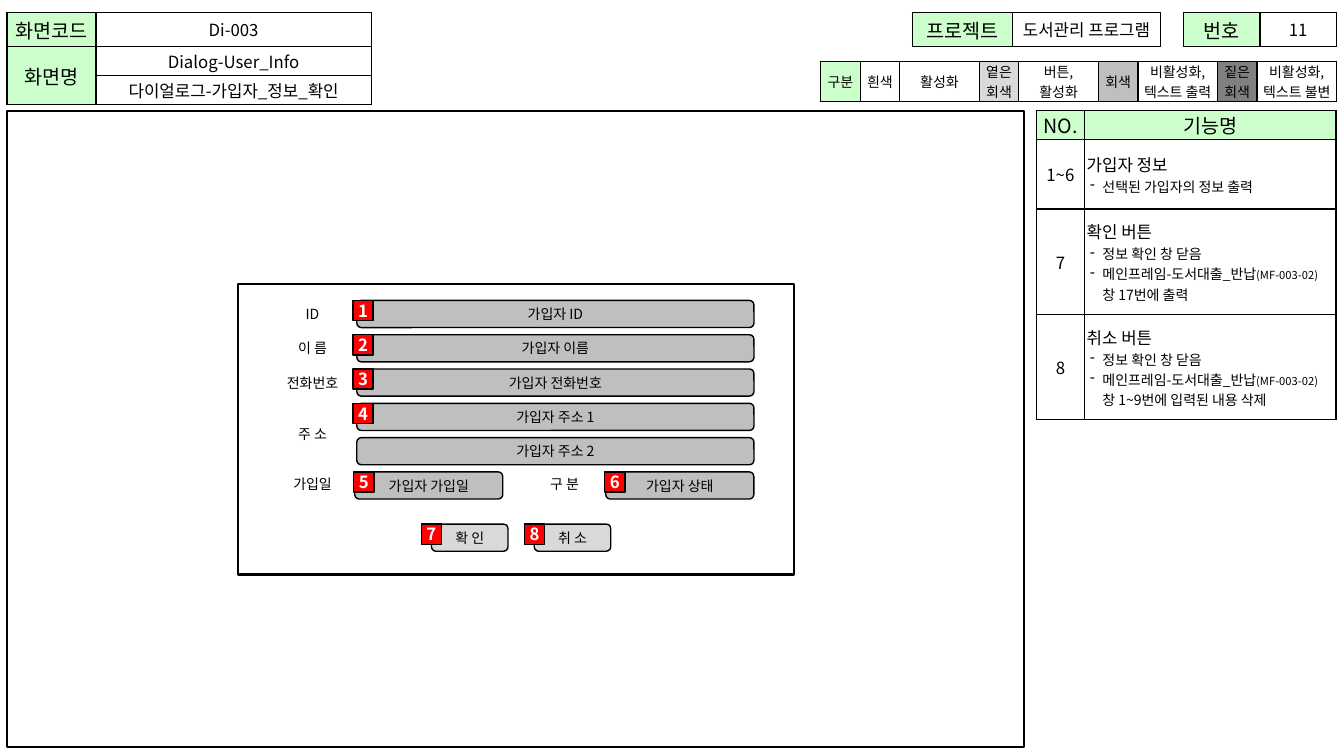
from dataclasses import dataclass

from lxml import etree
from pptx import Presentation
from pptx.dml.color import RGBColor
from pptx.enum.shapes import MSO_SHAPE
from pptx.enum.text import MSO_ANCHOR, PP_ALIGN
from pptx.oxml.ns import qn
from pptx.util import Pt

RECT, ROUND = MSO_SHAPE.RECTANGLE, MSO_SHAPE.ROUNDED_RECTANGLE
CENTER, LEFT = PP_ALIGN.CENTER, PP_ALIGN.LEFT
MIDDLE = MSO_ANCHOR.MIDDLE
FONT = "Noto Sans CJK KR"
BLACK, WHITE, RED, GREEN = "000000", "FFFFFF", "FF0000", "CCFFCC"
LIGHT, GRAY, DARK = "D9D9D9", "BFBFBF", "808080"
FIELD_H, BADGE = 19.4, 14.4
ROW_TOP, ROW_STEP = 214.6, 24.5
FIELD_X, FIELD_W, HALF_W = 254.9, 283.7, 105.8
LABEL_X, LABEL_W = 198.7, 49
BUTTON_Y, BUTTON_W = 374.4, 54.7


@dataclass
class Line:
    text: str
    size: float = 10
    align: PP_ALIGN = CENTER
    left: float = 0
    bullet: bool = False
    suffix: str = ""


@dataclass
class Cell:
    lines: list[Line]
    fill: str = WHITE
    pad: float = 1.5


@dataclass
class Box:
    text: str
    x: float
    y: float
    w: float
    h: float = FIELD_H
    fill: str = GRAY


def color(value: str) -> RGBColor:
    return RGBColor.from_string(value)


def set_all(target, values: dict) -> None:
    for name, value in values.items():
        setattr(target, name, value)


def add_run(p, text: str, size: float, ink: str, bold: bool) -> None:
    r = p.add_run()
    r.text = text
    set_all(r.font, {"name": FONT, "size": Pt(size), "bold": bold})
    r.font.color.rgb = color(ink)
    ea = etree.SubElement(r.font._element, qn("a:ea"))
    ea.set("typeface", FONT)


def write(tf, lines: list[Line], ink: str = BLACK, bold: bool = False) -> None:
    for i, line in enumerate(lines):
        p = tf.add_paragraph() if i else tf.paragraphs[0]
        p.alignment = line.align
        if line.left:
            pPr = p._p.get_or_add_pPr()
            pPr.set("marL", str(Pt(line.left)))
            pPr.set("indent", str(-Pt(8.8) if line.bullet else 0))
            if line.bullet:
                etree.SubElement(pPr, qn("a:buChar")).set("char", "-")
        add_run(p, line.text, line.size, ink, bold)
        if line.suffix:
            add_run(p, line.suffix, 8, ink, bold)


def add_box(kind: MSO_SHAPE, box: Box, line_w: float = 1, size: float = 10,
            ink: str = BLACK, bold: bool = False, pad: float = 1.5) -> None:
    sp = slide.shapes.add_shape(kind, Pt(box.x), Pt(box.y), Pt(box.w), Pt(box.h))
    sp.shadow.inherit = False
    sp.fill.solid()
    sp.fill.fore_color.rgb = color(box.fill)
    sp.line.color.rgb = color(BLACK)
    sp.line.width = Pt(line_w)
    if box.text:
        fill_frame(sp.text_frame, box.text, size, ink, bold, pad)


def fill_frame(tf, text: str, size: float, ink: str, bold: bool, pad: float) -> None:
    set_all(tf, {"word_wrap": True, "vertical_anchor": MIDDLE,
                 "margin_left": Pt(pad), "margin_right": Pt(pad),
                 "margin_top": 0, "margin_bottom": 0})
    write(tf, [Line(text, size)], ink, bold)


def add_label(text: str, x: float, y: float, h: float = FIELD_H) -> None:
    sp = slide.shapes.add_textbox(Pt(x), Pt(y), Pt(LABEL_W), Pt(h))
    fill_frame(sp.text_frame, text, 10, BLACK, False, 1.5)


def add_borders(cell) -> None:
    tcPr = cell._tc.get_or_add_tcPr()
    for i, side in enumerate(("lnL", "lnR", "lnT", "lnB")):
        ln = etree.Element(qn(f"a:{side}"), w=str(Pt(1)))
        fill = etree.SubElement(ln, qn("a:solidFill"))
        etree.SubElement(fill, qn("a:srgbClr")).set("val", BLACK)
        tcPr.insert(i, ln)


def add_grid(x: float, y: float, cols: list[float], rows: list[float],
             cells: list[list[Cell]], merge_first: bool = False) -> None:
    """Draw a bordered table; merge_first joins rows 2 and 3 of column 1."""
    frame = slide.shapes.add_table(len(rows), len(cols), Pt(x), Pt(y),
                                   Pt(sum(cols)), Pt(sum(rows)))
    table = frame.table
    set_all(table, {"first_row": False, "horz_banding": False})
    for col, width in zip(table.columns, cols):
        col.width = Pt(width)
    for row, height in zip(table.rows, rows):
        row.height = Pt(height)
    if merge_first:
        table.cell(1, 0).merge(table.cell(2, 0))
    for r, line in enumerate(cells):
        for c, item in enumerate(line):
            cell = table.cell(r, c)
            set_all(cell, {"vertical_anchor": MIDDLE,
                           "margin_left": Pt(1.5), "margin_right": Pt(1.5),
                           "margin_top": Pt(item.pad), "margin_bottom": Pt(item.pad)})
            cell.fill.solid()
            cell.fill.fore_color.rgb = color(item.fill)
            add_borders(cell)
            write(cell.text_frame, item.lines)


def head(text: str, pad: float = 1.5) -> Cell:
    return Cell([Line(text, 14)], GREEN, pad)


def value(text: str, pad: float = 1.5) -> Cell:
    return Cell([Line(text, 12)], pad=pad)


def legend(text: str, fill: str = WHITE) -> Cell:
    return Cell([Line(part) for part in text.split("\n")], fill, 0)


def feature(number: str, title: str, *details: Line) -> list[Cell]:
    return [value(number, 0), Cell([Line(title, 12, LEFT), *details])]


def item(text: str, suffix: str = "", bullet: bool = True) -> Line:
    return Line(text, 10, LEFT, 11.3, bullet, suffix)


def row_y(i: float) -> float:
    return ROW_TOP + i * ROW_STEP


prs = Presentation()
prs.slide_width, prs.slide_height = Pt(960), Pt(540)
slide = prs.slides.add_slide(prs.slide_layouts[6])

add_box(RECT, Box("", 5, 79.2, 726.5, 454.3, WHITE), 1.5)

closing = item("정보 확인 창 닫음")
main_frame = item("메인프레임-도서대출_반납", "(MF-003-02)")
add_grid(740.2, 79.2, [34.5, 179.6], [20.2, 49.7, 49.7, 49.7], [
    [head("NO.", 0), head("기능명", 0)],
    feature("1~6", "가입자 정보", item("선택된 가입자의 정보 출력")),
    feature("7", "확인 버튼", closing, main_frame,
            item("창 17번에 출력", bullet=False)),
    feature("8", "취소 버튼", closing, main_frame,
            item("창 1~9번에 입력된 내용 삭제", bullet=False)),
])
add_grid(5, 9.2, [63.6, 196.6], [23.8, 20.9, 20.9], [
    [head("화면코드"), value("Di-003")],
    [head("화면명"), value("Dialog-User_Info")],
    [Cell([], GREEN), value("다이얼로그-가입자_정보_확인")],
], merge_first=True)
add_grid(651.6, 9.2, [71.5, 106.1], [23.8],
         [[head("프로젝트"), value("도서관리 프로그램")]])
add_grid(845.3, 9.2, [54.7, 54.7], [23.8], [[head("번호"), value("11")]])
add_grid(586.1, 43.9, [28.3] + [28.3, 56.8] * 4, [13], [[
    legend("구분", GREEN), legend("흰색"), legend("활성화"),
    legend("옅은\n회색", LIGHT), legend("버튼,\n활성화"),
    legend("회색", GRAY), legend("비활성화,\n텍스트 출력"),
    legend("짙은\n회색", DARK), legend("비활성화,\n텍스트 불변"),
]])

add_box(RECT, Box("", 169.9, 203, 397.4, 207.4, WHITE), 1.5)
for text, i in (("ID", 0), ("이 름", 1), ("전화번호", 2), ("주 소", 3.5)):
    add_label(text, LABEL_X, row_y(i))
for text, x in (("가입일", LABEL_X), ("구 분", 378.7)):
    add_label(text, x, row_y(5), 17.3)

full_fields = ("가입자 ID", "가입자 이름", "가입자 전화번호", "가입자 주소 1", "가입자 주소 2")
boxes = [Box(text, FIELD_X, row_y(i), FIELD_W) for i, text in enumerate(full_fields)]
boxes += [Box("가입자 가입일", 253.4, row_y(5), HALF_W),
          Box("가입자 상태", 432.7, row_y(5), HALF_W),
          Box("확 인", 308.2, BUTTON_Y, BUTTON_W, fill=LIGHT),
          Box("취 소", 381.6, BUTTON_Y, BUTTON_W, fill=LIGHT)]
for box in boxes:
    add_box(ROUND, box)

badge_spots = [(252.2, row_y(i)) for i in range(4)]
badge_spots += [(252.7, row_y(5)), (432, row_y(5)), (301, BUTTON_Y), (374.6, BUTTON_Y)]
for number, (x, y) in enumerate(badge_spots, 1):
    add_box(RECT, Box(str(number), x, y, BADGE, BADGE, RED),
            size=12, ink=WHITE, bold=True, pad=0)

prs.save("out.pptx")
